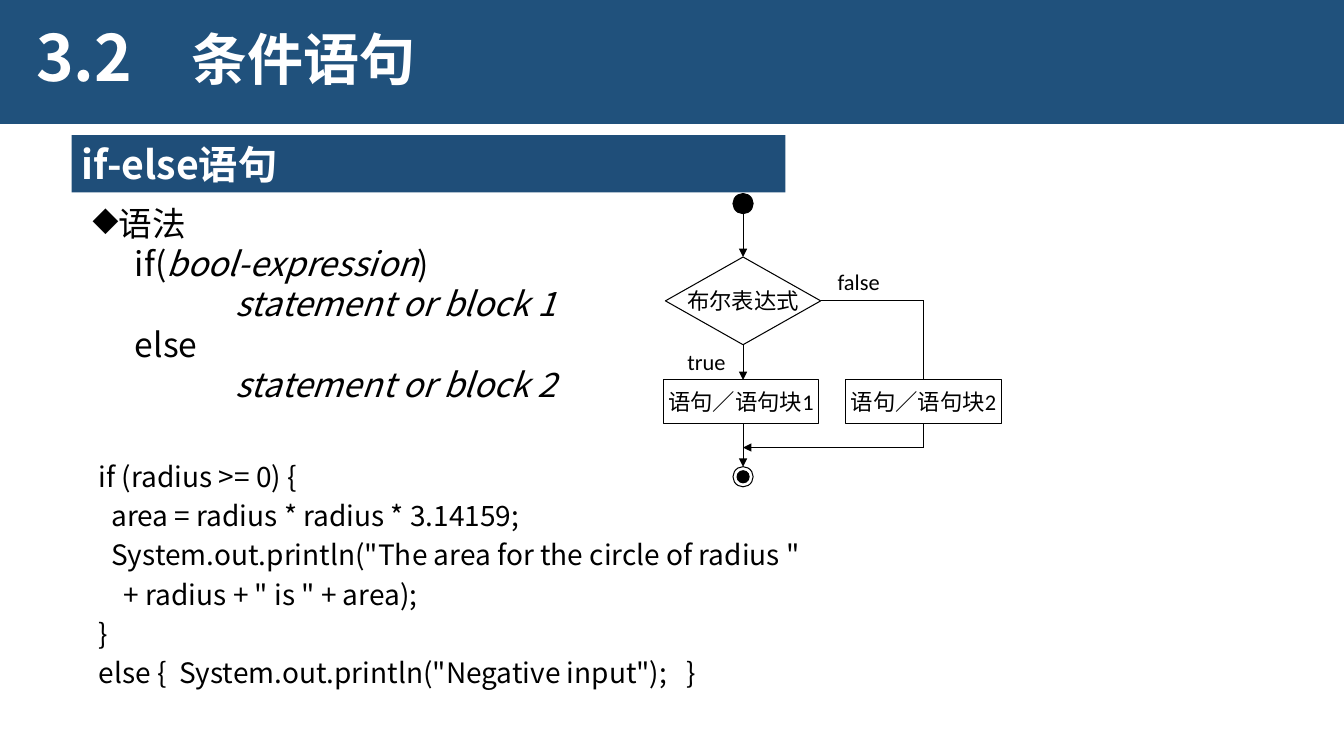
from lxml import etree
from pptx import Presentation
from pptx import util as u
from pptx.dml.color import RGBColor
from pptx.enum import shapes, text
from pptx.oxml.ns import qn

NAVY = RGBColor(0x20, 0x51, 0x7C)
BLUE = RGBColor(0x1F, 0x4E, 0x79)
WHITE = RGBColor(255, 255, 255)
BLACK = RGBColor(0, 0, 0)
SANS, BODY = "Noto Sans CJK SC", "Calibri"
SHAPE = shapes.MSO_SHAPE


class Deck:
    """Holds the style and the current slide, and draws each kind of element."""

    def __init__(self):
        self.prs = Presentation()
        self.prs.slide_width = u.Inches(13.33)
        self.prs.slide_height = u.Inches(7.5)
        self.slide = self.prs.slides.add_slide(self.prs.slide_layouts[6])

    def style(self, para, size, font, color=BLACK, bold=False, pitch=None):
        para.font.size, para.font.name = u.Pt(size), font
        para.font.bold, para.font.color.rgb = bold, color
        props = para._p.get_or_add_pPr().find(qn("a:defRPr"))
        etree.SubElement(props, qn("a:ea"), typeface=font)
        if pitch:
            para.line_spacing = u.Pt(round(size * pitch, 1))

    def indent(self, para, left, hang=0.0, mark=None):
        props = para._p.get_or_add_pPr()
        props.set("marL", str(u.Inches(left)))
        props.set("indent", str(u.Inches(-hang)))
        if mark:
            bullet = etree.Element(qn("a:buChar"), char=mark)
            props.find(qn("a:defRPr")).addprevious(bullet)

    def box(self, *at, wrap=True):
        frame = self.slide.shapes.add_textbox(*map(u.Inches, at)).text_frame
        frame.word_wrap = wrap
        return frame

    def label(self, words, *at, size=16, font=BODY, wrap=False, **look):
        para = self.box(*at, wrap=wrap).paragraphs[0]
        para.text = words
        self.style(para, size, font, **look)

    def shape(self, kind, *at, fill=None, line=None):
        item = self.slide.shapes.add_shape(kind, *map(u.Inches, at))
        item.shadow.inherit = False
        if fill is None:
            item.fill.background()
        else:
            item.fill.solid()
            item.fill.fore_color.rgb = fill
        if line is None:
            item.line.fill.background()
        else:
            item.line.color.rgb, item.line.width = line, u.Pt(0.75)
        return item

    def node(self, kind, words, *at):
        frame = self.shape(kind, *at, line=BLACK).text_frame
        frame.word_wrap = False
        frame.vertical_anchor = text.MSO_ANCHOR.MIDDLE
        para = frame.paragraphs[0]
        para.text, para.alignment = words, text.PP_ALIGN.CENTER
        self.style(para, 16, BODY)

    def dot(self, x, y, size, fill=None):
        self.shape(SHAPE.OVAL, x - size / 2, y - size / 2, size, size, fill=fill, line=BLACK)

    def line(self, *ends, arrow=False):
        item = self.slide.shapes.add_connector(
            shapes.MSO_CONNECTOR.STRAIGHT, *map(u.Inches, ends))
        item.line.color.rgb, item.line.width = BLACK, u.Pt(0.75)
        if arrow:
            etree.SubElement(item.line._get_or_add_ln(), qn("a:tailEnd"), type="triangle")
        etree.SubElement(item._element.spPr, qn("a:effectLst"))


deck = Deck()

deck.shape(SHAPE.RECTANGLE, -0.03, 0, 13.36, 1.23, fill=NAVY)
head = dict(font=SANS, color=WHITE, bold=True, wrap=True)
deck.label("3.2", 0.26, 0.19, 1.37, 0.91, size=45.6, pitch=1.1, **head)
deck.label("条件语句", 1.8, 0.25, 8.09, 0.54, size=40, pitch=1.1, **head)
deck.shape(SHAPE.RECTANGLE, 0.71, 1.34, 7.08, 0.57, fill=BLUE)
deck.label("if-else语句", 0.71, 1.34, 7.08, 0.57, size=28, pitch=1.2, **head)

syntax = [
    (0.34, [("语法", False)]),
    (0.5, [("if(", False), ("bool-expression", True), (")", False)]),
    (1.5, [("statement or block 1", True)]),
    (0.5, [("else", False)]),
    (1.5, [("statement or block 2", True)]),
]
frame = deck.box(0.74, 1.96, 5.6, 2.2)
for row, (left, parts) in enumerate(syntax):
    para = frame.add_paragraph() if row else frame.paragraphs[0]
    for words, slant in parts:
        run = para.add_run()
        run.text, run.font.italic = words, slant
    deck.style(para, 24, SANS, pitch=1.2)
    if row:
        deck.indent(para, left)
    else:
        deck.indent(para, left, 0.26, "◆")

code = [
    (0, "if (radius >= 0) {"),
    (1, "area = radius * radius * 3.14159;"),
    (1, 'System.out.println("The area for the circle of radius "'),
    (2, '+ radius + " is " + area);'),
    (0, "}"),
    (0, 'else {  System.out.println("Negative input");   }'),
]
frame = deck.box(0.88, 4.51, 11.18, 2.28)
for row, (level, words) in enumerate(code):
    para = frame.add_paragraph() if row else frame.paragraphs[0]
    para.text, para.space_before = words, u.Pt(4)
    deck.style(para, 20, SANS, pitch=1.2)
    deck.indent(para, level * 0.125)

mid, side = 7.37, 9.16
wide, tall, top = 1.54, 0.43, 3.77
low, join, end = top + tall, 4.44, 4.63
deck.dot(mid, 2.02, 0.2, BLACK)
deck.dot(mid, 4.73, 0.2)
deck.dot(mid, 4.73, 0.12, BLACK)
deck.node(SHAPE.FLOWCHART_DECISION, "布尔表达式", 6.6, 2.55, wide, 0.87)
for num, left in enumerate((6.58, 8.39), 1):
    deck.node(SHAPE.FLOWCHART_PROCESS, f"语句／语句块{num}", left, top, wide, tall)
for start, stop in ((2.11, 2.55), (3.41, top), (low, end)):
    deck.line(mid, start, mid, stop, arrow=True)
deck.line(8.14, 2.98, side, 2.98)
deck.line(side, 2.98, side, top)
deck.line(side, low, side, join)
deck.line(side, join, mid, join, arrow=True)
deck.label("true", 6.72, 3.4, 0.66, 0.37)
deck.label("false", 8.21, 2.61, 0.73, 0.37)

deck.prs.save("out.pptx")
